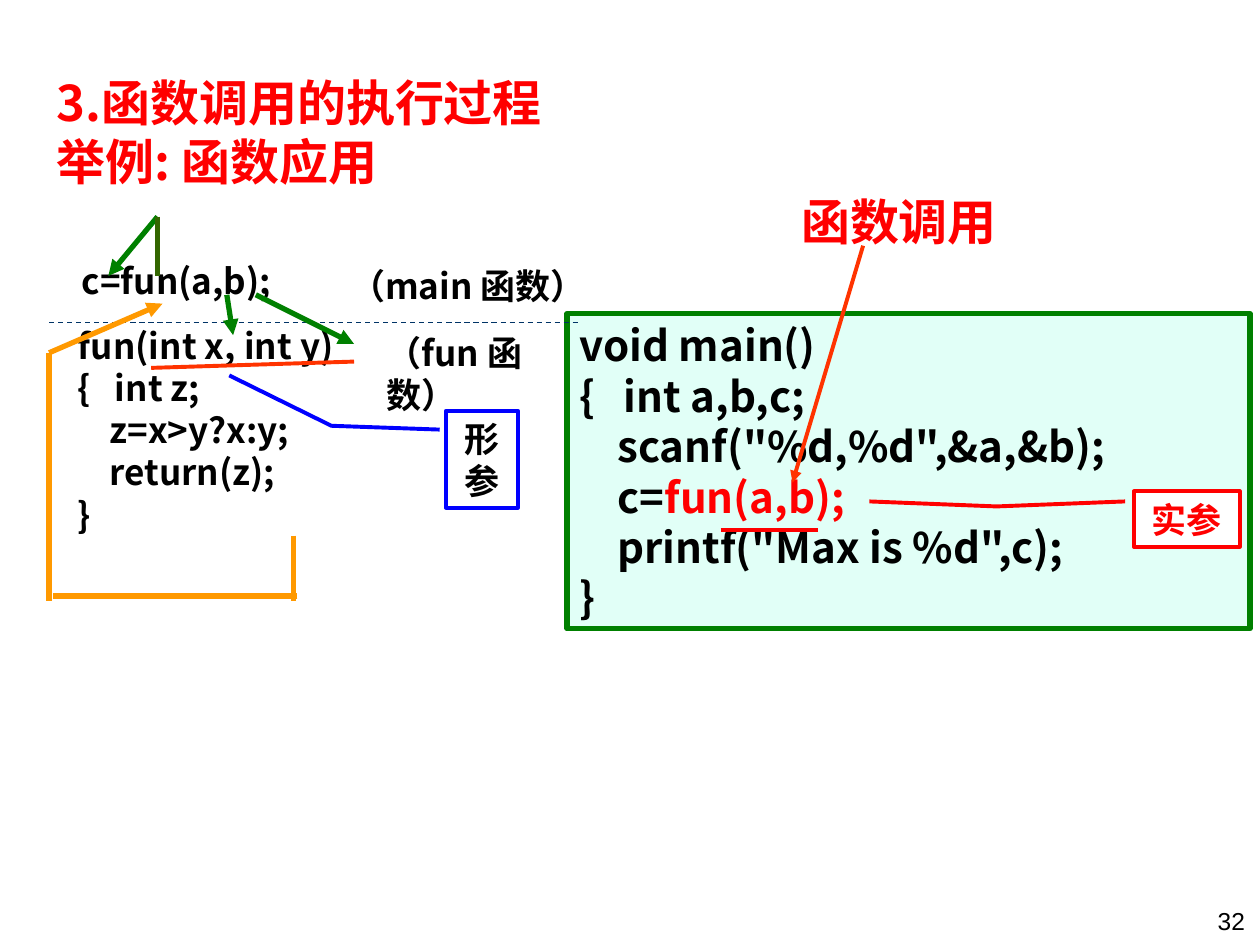
import pptx
import pptx.util
import pptx.dml.color
import pptx.enum.dml
import pptx.enum.shapes
import pptx.enum.text
import pptx.oxml.ns
import lxml.etree

Inches = pptx.util.Inches
ANCHOR = pptx.enum.text.MSO_ANCHOR
ALIGN = pptx.enum.text.PP_ALIGN
SHAPE = pptx.enum.shapes.MSO_SHAPE
SANS = "Noto Sans CJK SC"
BLACK, RED, GREEN, ORANGE, RUST = "000000", "FF0000", "008000", "FF9900", "FF3300"

TITLE = ["3.函数调用的执行过程", "举例: 函数应用"]
MAIN = [
    "void main()",
    "{   int a,b,c;",
    '    scanf("%d,%d",&a,&b);',
    [("    c=", BLACK), ("fun(a,b);", RED)],
    '    printf("Max is %d",c);',
    "}",
]
FUN = ["fun(int x, int y)", "{   int z;", "    z=x>y?x:y;", "    return(z);", "}"]

LABELS = [
    ((6.26, 1.47, 1.81, 0.57), ["函数调用"], 28, RED),
    ((0.55, 2.01, 2.04, 0.44), ["c=fun(a,b);"], 20, BLACK),
    ((2.68, 2.05, 2.28, 0.44), ["（main 函数）"], 20, BLACK),
    ((2.97, 2.58, 1.8, 0.77), ["（fun 函数）"], 20, BLACK),
    ((0.52, 2.53, 2.84, 2.1), FUN, 20, BLACK),
]
NOTES = [
    ((9, 3.9, 0.84, 0.44), "实参", RED, RED, [(6.9, 3.98), (7.91, 4.02), (8.93, 3.98)]),
    ((3.54, 3.26, 0.57, 0.77), "形参", BLACK, "0000FF", [(1.82, 2.98), (2.63, 3.38), (3.49, 3.41)]),
]
LINES = [
    ([(5.72, 4.21), (6.49, 4.21)], RED, 2.25, False),
    ([(1.8, 2.34), (1.85, 2.66)], GREEN, 3, True),
    ([(2.03, 2.34), (2.81, 2.73)], GREEN, 3, True),
    ([(2.33, 4.25), (2.33, 4.77)], ORANGE, 3, False),
    ([(2.36, 4.73), (0.42, 4.73)], ORANGE, 3, False),
    ([(0.39, 4.77), (0.39, 2.8)], ORANGE, 3, False),
    ([(0.39, 2.8), (1.29, 2.41)], ORANGE, 3, True),
    ([(6.85, 1.95), (6.29, 3.83)], RUST, 2.25, True),
    ([(1.2, 2.92), (2.81, 2.87)], RUST, 2.25, False),
    ([(1.25, 1.72), (0.86, 2.19)], GREEN, 3, True),
    ([(1.25, 1.72), (1.25, 2.19)], "336600", 3, False),
]


def tint(code):
    return pptx.dml.color.RGBColor.from_string(code)


def child(node, tag, **attrs):
    return lxml.etree.SubElement(node, pptx.oxml.ns.qn(tag), **attrs)


def write(shape, lines, size, color, bold=True, font=SANS, align=ALIGN.LEFT, anchor=ANCHOR.TOP):
    frame = shape.text_frame
    frame.word_wrap = True
    frame.auto_size = pptx.enum.text.MSO_AUTO_SIZE.NONE
    frame.vertical_anchor = anchor
    for i, line in enumerate(lines):
        para = frame.add_paragraph() if i else frame.paragraphs[0]
        para.alignment = align
        for text, hue in [(line, color)] if isinstance(line, str) else line:
            run = para.add_run()
            run.text = text
            run.font.size = pptx.util.Pt(size)
            run.font.bold = bold
            run.font.name = font
            run.font.color.rgb = tint(hue)
            child(run.font._element, "a:ea", typeface=font)


def place(shape, box):
    shape.left, shape.top, shape.width, shape.height = map(Inches, box)


def label(box, lines, size, color, **style):
    shape = slide.shapes.add_textbox(*map(Inches, box))
    write(shape, lines, size, color, **style)


def panel(kind, box, fill, edge, width):
    shape = slide.shapes.add_shape(kind, *map(Inches, box))
    shape.shadow.inherit = False
    shape.fill.solid()
    shape.fill.fore_color.rgb = tint(fill)
    shape.line.color.rgb = tint(edge)
    shape.line.width = pptx.util.Pt(width)
    return shape


def note(box, text, color, edge, points):
    shape = panel(SHAPE.LINE_CALLOUT_2, box, "FFFFFF", edge, 2.25)
    left, top, wide, high = box
    for i, (x, y) in enumerate(reversed(points)):
        shape.adjustments[2 * i] = (y - top) / high
        shape.adjustments[2 * i + 1] = (x - left) / wide
    write(shape, [text], 20, color, align=ALIGN.CENTER, anchor=ANCHOR.MIDDLE)


def draw(points, color, width, arrow):
    ends = [Inches(v) for point in points for v in point]
    link = slide.shapes.add_connector(pptx.enum.shapes.MSO_CONNECTOR.STRAIGHT, *ends)
    link.line.color.rgb = tint(color)
    link.line.width = pptx.util.Pt(width)
    if arrow:
        child(link.line._get_or_add_ln(), "a:tailEnd", type="triangle")
    child(link._element.spPr, "a:effectLst")
    return link


deck = pptx.Presentation()
deck.slide_width, deck.slide_height = Inches(10), Inches(7.5)
slide = deck.slides.add_slide(deck.slide_layouts[5])

title = slide.shapes.title
place(title, (0.35, 0.52, 5.59, 1.04))
write(title, TITLE, 28, RED, anchor=ANCHOR.MIDDLE)
label((7.9, 7.14, 2.08, 0.36), ["32"], 14, BLACK, bold=False, font="Arial", align=ALIGN.RIGHT)

code = panel(SHAPE.RECTANGLE, (4.5, 2.49, 5.42, 2.5), "E1FFF7", GREEN, 3)
write(code, MAIN, 24, BLACK)
rule = draw([(0.39, 2.56), (4.61, 2.56)], "003366", 0.75, False)
rule.line.dash_style = pptx.enum.dml.MSO_LINE.DASH

for item in LABELS:
    label(*item)
for item in NOTES:
    note(*item)
for item in LINES:
    draw(*item)

deck.save("out.pptx")
